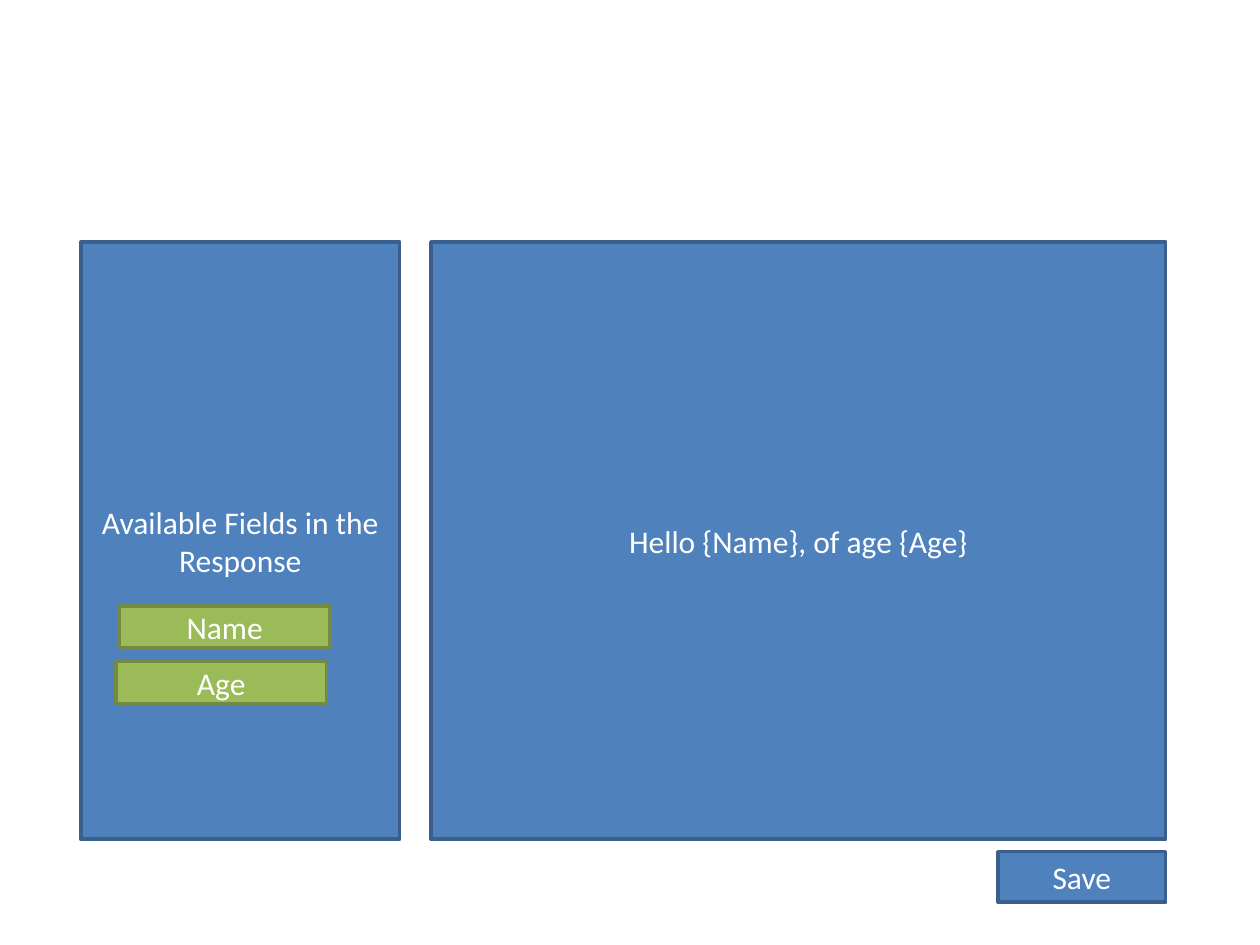
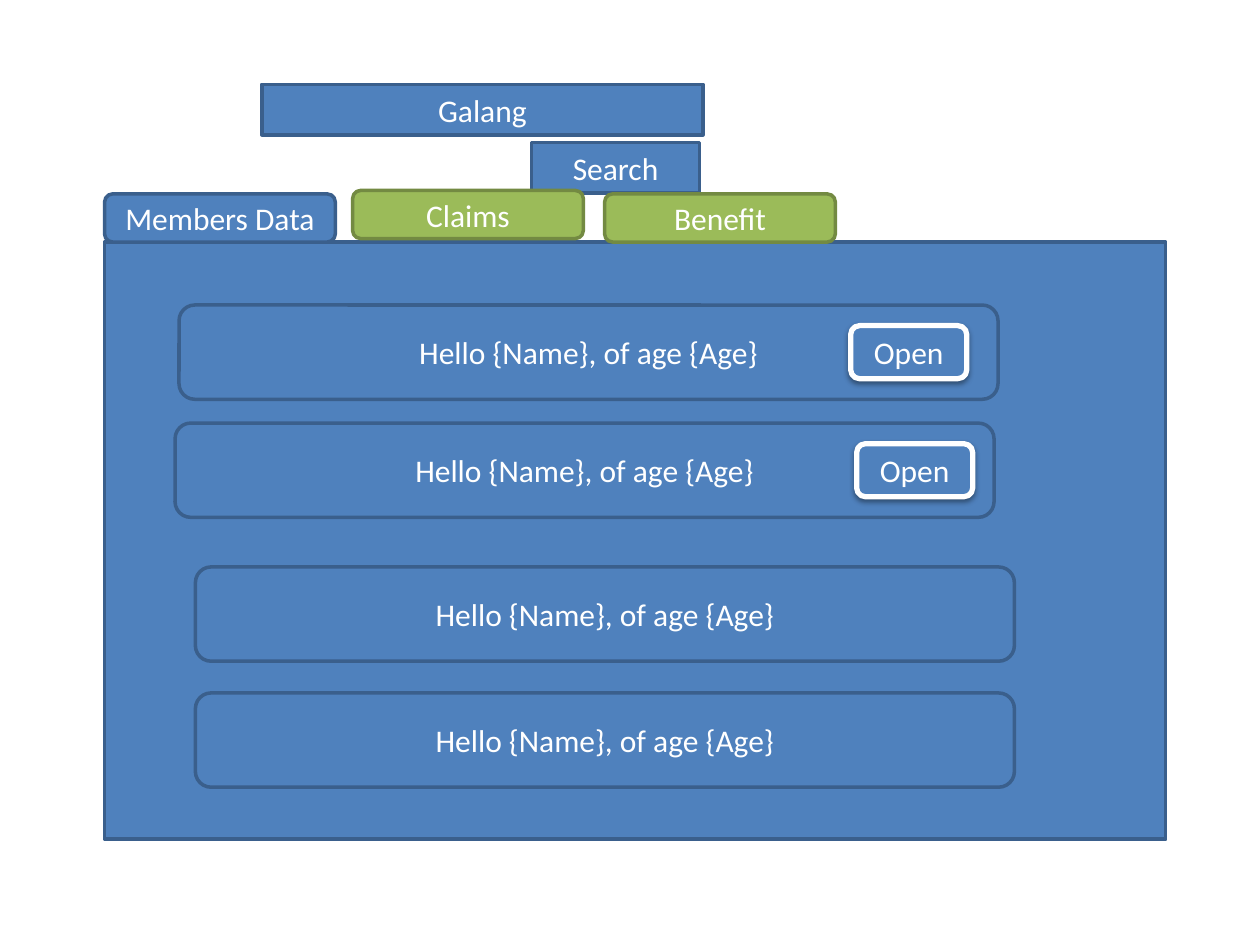
from lxml import etree
from pptx import Presentation
from pptx import util as u
from pptx.dml.color import RGBColor
from pptx.enum import shapes, text
from pptx.oxml.ns import qn

COLOURS = {"blue": "4F81BD", "blue edge": "3A5F8C", "green": "9BBB59",
           "green edge": "738A42", "white": "FFFFFF", "shadow": "000000"}
FONT, FONT_SIZE = "Calibri", 18
RECT = shapes.MSO_SHAPE.RECTANGLE
ROUNDED = shapes.MSO_SHAPE.ROUNDED_RECTANGLE

GREETING = "Hello {Name}, of age {Age}"
FIELDS_HEADING = "Available Fields in the Response"
FIELDS = [("Name", 2.41, 12.22), ("Age", 2.34, 13.34)]
SEARCH_TERM = "Galang"
TABS = [("Members Data", "blue", 2.11, 3.91),
        ("Claims", "green", 7.11, 3.84),
        ("Benefit", "green", 12.19, 3.91)]
RESULTS = [(3.61, 6.15, 17.15), (3.53, 8.53, 17.27),
           (3.94, 11.43, None), (3.94, 13.97, None)]

PANEL_TOP, PANEL_HEIGHT, PANEL_RIGHT = 4.88, 12.04, 23.5
FIELD_SIZE = (4.24, 0.84)
BUTTON_SIZE = (3.38, 1.02)
TAB_SIZE = (4.65, 0.97)
RESULT_SIZE = (16.51, 1.9)
OPEN_SIZE = (2.34, 1.07)


def colour(name):
    return RGBColor.from_string(COLOURS[name])


def add_box(slide, label, left, top, size, fill="blue", edge=None, kind=RECT, weight=2):
    box = slide.shapes.add_shape(kind, u.Cm(left), u.Cm(top), *map(u.Cm, size))
    box.shadow.inherit = False
    box.fill.solid()
    box.fill.fore_color.rgb = colour(fill)
    box.line.color.rgb = colour(edge or fill + " edge")
    box.line.width = u.Pt(weight)
    if label:
        frame = box.text_frame
        frame.word_wrap = True
        frame.vertical_anchor = text.MSO_ANCHOR.MIDDLE
        paragraph = frame.paragraphs[0]
        paragraph.alignment = text.PP_ALIGN.CENTER
        run = paragraph.add_run()
        run.text = label
        run.font.name = FONT
        run.font.size = u.Pt(FONT_SIZE)
        run.font.color.rgb = colour("white")
    return box


def add_panel(slide, label, left, right=PANEL_RIGHT):
    add_box(slide, label, left, PANEL_TOP, (right - left, PANEL_HEIGHT))


def add_open_button(slide, left, top):
    button = add_box(slide, "Open", left, top, OPEN_SIZE, edge="white", kind=ROUNDED, weight=3)
    effects = button._element.spPr.find(qn("a:effectLst"))
    shadow = etree.SubElement(effects, qn("a:outerShdw"), blurRad=str(u.Pt(3.1)),
                              dist=str(u.Pt(1.6)), dir="5400000", rotWithShape="0")
    tint = etree.SubElement(shadow, qn("a:srgbClr"), val=COLOURS["shadow"])
    etree.SubElement(tint, qn("a:alpha"), val="38000")


deck = Presentation()
deck.slide_width, deck.slide_height = u.Cm(25.4), u.Cm(19.05)
blank = deck.slide_layouts[6]

editor = deck.slides.add_slide(blank)
add_panel(editor, GREETING, 8.69)
add_panel(editor, FIELDS_HEADING, 1.63, 8.06)
for field, left, top in FIELDS:
    add_box(editor, field, left, top, FIELD_SIZE, "green")
add_box(editor, "Save", PANEL_RIGHT - BUTTON_SIZE[0], 17.17, BUTTON_SIZE)

search = deck.slides.add_slide(blank)
add_box(search, SEARCH_TERM, 5.28, 1.7, (8.89, BUTTON_SIZE[1]))
add_box(search, "Search", 10.72, 2.87, BUTTON_SIZE)
add_panel(search, None, 2.11)
for left, top, open_left in RESULTS:
    add_box(search, GREETING, left, top, RESULT_SIZE, kind=ROUNDED)
    if open_left:
        add_open_button(search, open_left, top + (RESULT_SIZE[1] - OPEN_SIZE[1]) / 2)
for tab, fill, left, top in TABS:
    add_box(search, tab, left, top, TAB_SIZE, fill, kind=ROUNDED)

deck.save("out.pptx")
